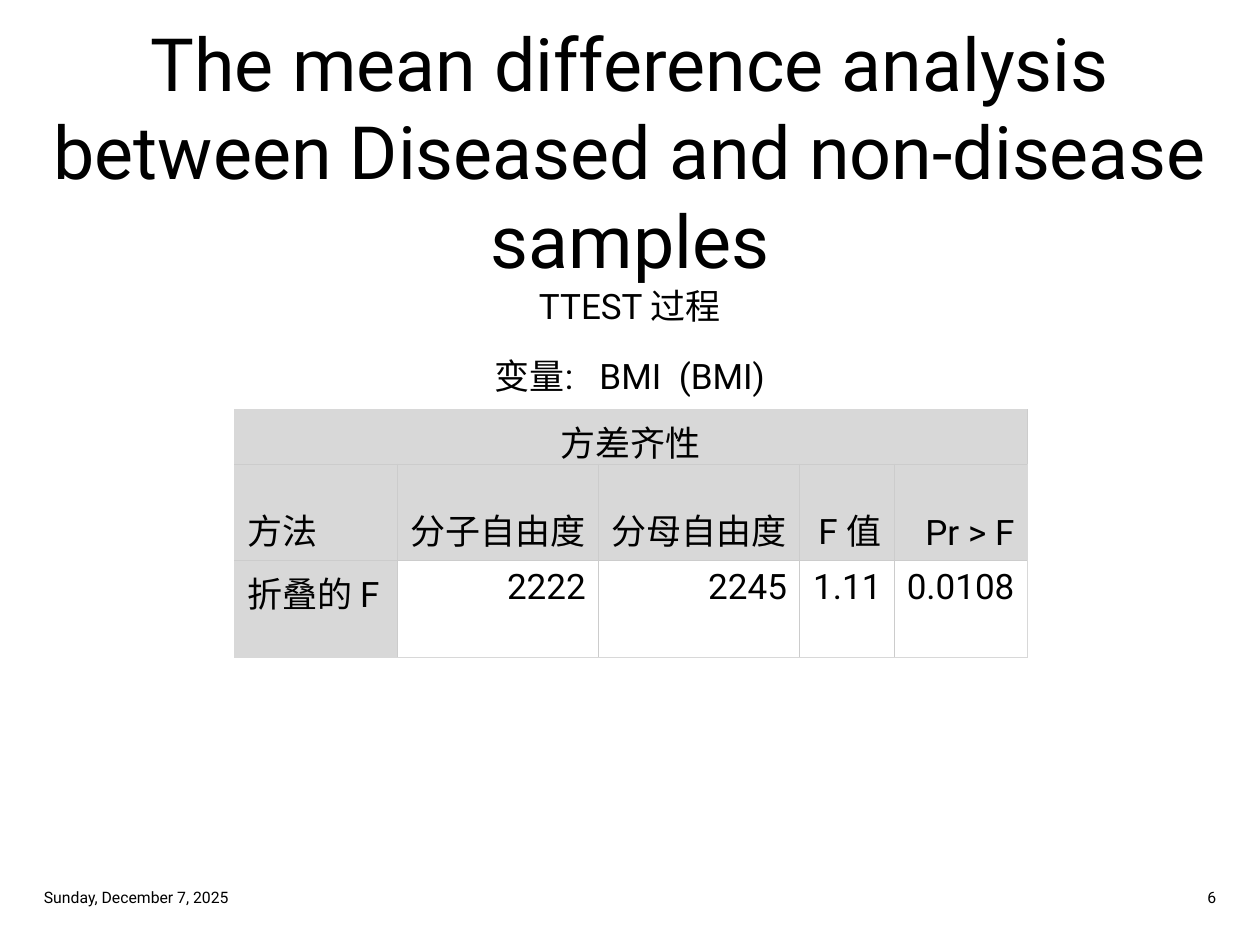
from dataclasses import dataclass

from lxml import etree
from pptx import Presentation
from pptx.dml.color import RGBColor
from pptx.enum.text import MSO_ANCHOR, MSO_AUTO_SIZE, PP_ALIGN
from pptx.oxml.ns import qn
from pptx.util import Pt

LEFT, CENTER, RIGHT = PP_ALIGN.LEFT, PP_ALIGN.CENTER, PP_ALIGN.RIGHT
TOP, MIDDLE, BOTTOM = MSO_ANCHOR.TOP, MSO_ANCHOR.MIDDLE, MSO_ANCHOR.BOTTOM
TITLE_ONLY = 5


@dataclass(frozen=True)
class Theme:
    font: str = "Roboto"
    ink: str = "000000"
    paper: str = "FFFFFF"
    shade: str = "D8D8D8"
    grid: str = "CCCCCC"
    title: int = 42
    body: int = 20
    footer: int = 9
    border: float = 0.5


def write_text(frame, text, *, theme, size, align=LEFT, anchor=TOP):
    """Put text in a frame or cell; a newline becomes a line break."""
    para = frame.paragraphs[0]
    para.text = text.replace("\n", "\v")
    para.alignment = align
    for span in para.runs:
        span.font.name = theme.font
        span.font.size = Pt(size)
        span.font.color.rgb = RGBColor.from_string(theme.ink)
    frame.vertical_anchor = anchor


class SlideBuilder:
    def __init__(self, deck, theme):
        self.theme = theme
        self.page = deck.slides.add_slide(deck.slide_layouts[TITLE_ONLY])

    def title(self, text, left, top, width, height):
        box = self.page.shapes.title
        box.left, box.top, box.width, box.height = map(Pt, (left, top, width, height))
        box.text_frame.auto_size = MSO_AUTO_SIZE.NONE
        write_text(box.text_frame, text, theme=self.theme, size=self.theme.title,
                   align=CENTER, anchor=MIDDLE)

    def text(self, text, left, top, width, height, **style):
        box = self.page.shapes.add_textbox(*map(Pt, (left, top, width, height)))
        box.text_frame.word_wrap = True
        write_text(box.text_frame, text, theme=self.theme, **style)

    def borders(self, cell, colors):
        """Draw the left, right, top and bottom edges of a cell."""
        props = cell._tc.get_or_add_tcPr()
        for index, (side, color) in enumerate(zip("LRTB", colors)):
            line = etree.Element(qn(f"a:ln{side}"), w=str(Pt(self.theme.border)))
            fill = etree.SubElement(line, qn("a:solidFill"))
            etree.SubElement(fill, qn("a:srgbClr"), val=color)
            props.insert(index, line)

    def table(self, rows, left, top, widths, row_height):
        theme = self.theme
        last_row, last_column = len(rows) - 1, len(widths) - 1
        table = self.page.shapes.add_table(
            len(rows), len(widths), Pt(left), Pt(top),
            Pt(sum(widths)), Pt(row_height * len(rows))).table
        table.first_row = table.horz_banding = False
        for column, width in zip(table.columns, widths):
            column.width = Pt(width)
        for row in table.rows:
            row.height = Pt(row_height)

        # The heading spans the whole first row
        table.cell(0, 0).merge(table.cell(0, last_column))
        for r, row in enumerate(rows):
            for c, text in enumerate(row):
                cell = table.cell(r, c)
                is_header = r < last_row or c == 0
                cell.fill.solid()
                cell.fill.fore_color.rgb = RGBColor.from_string(
                    theme.shade if is_header else theme.paper)
                outer = (c == 0, c == last_column, r == 0, r == last_row)
                self.borders(cell, [theme.shade if edge else theme.grid
                                    for edge in outer])
                if text:
                    align = CENTER if r == 0 else LEFT if c == 0 else RIGHT
                    write_text(cell.text_frame, text, theme=theme,
                               size=theme.body, align=align)
                    cell.vertical_anchor = BOTTOM if r < last_row else TOP


def main():
    deck = Presentation()
    deck.slide_width, deck.slide_height = Pt(720), Pt(540)
    theme = Theme()
    slide = SlideBuilder(deck, theme)
    margin, full_width = 18, 684

    # Title and procedure lines
    slide.title("The mean difference analysis\nbetween Diseased and non-disease\nsamples",
                margin, 18, full_width, 136)
    for text, top in (("TTEST 过程", 159), ("变量:   BMI  (BMI)", 199)):
        slide.text(text, margin, top, full_width, 30, size=theme.body, align=CENTER)

    # Equality of variances
    rows = [
        ["方差齐性", "", "", "", ""],
        ["方法", "分子自由度", "分母自由度", "F 值", "Pr > F"],
        ["折叠的 F", "2222", "2245", "1.11", "0.0108"],
    ]
    slide.table(rows, 134, 234, [93, 115, 115, 54, 76], 30)

    # Date and page number
    for text, left, align in (("Sunday, December 7, 2025", margin, LEFT),
                              ("6", 531, RIGHT)):
        slide.text(text, left, 503, 171, 19, size=theme.footer,
                   align=align, anchor=MIDDLE)

    deck.save("out.pptx")


if __name__ == "__main__":
    main()
